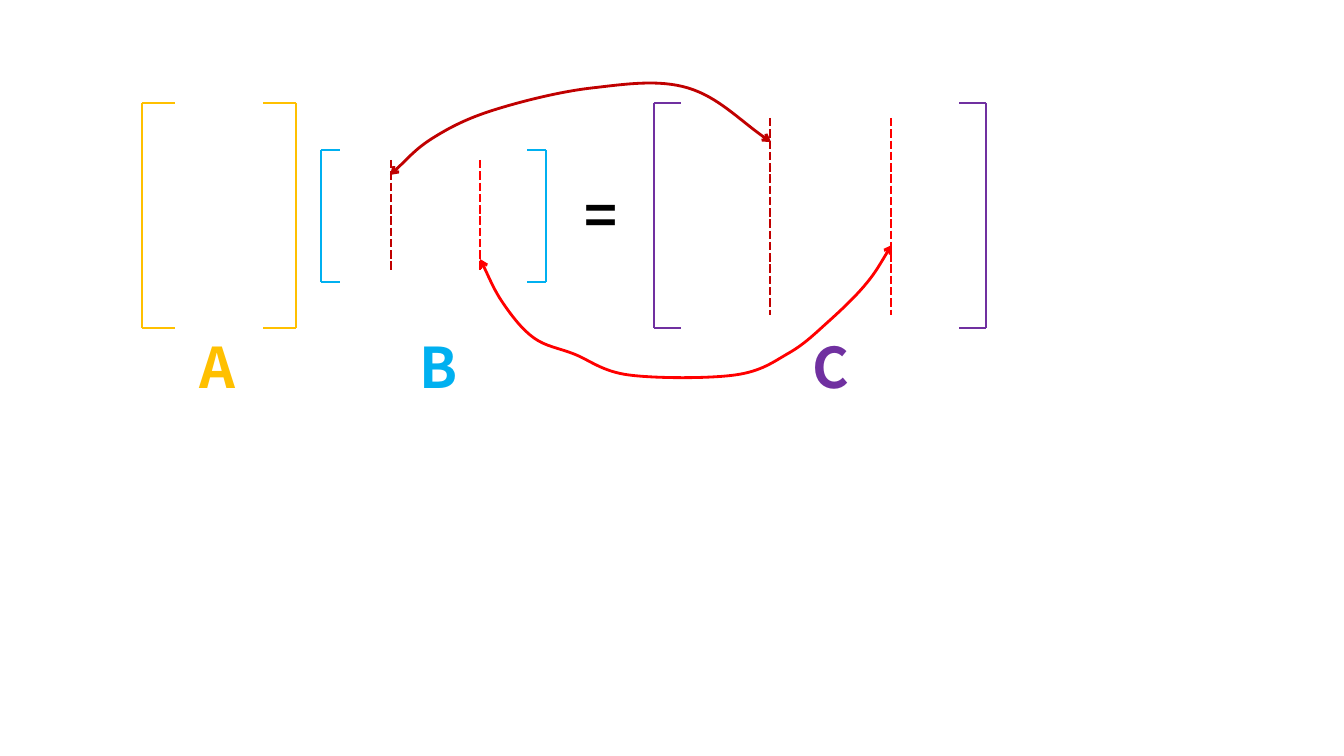
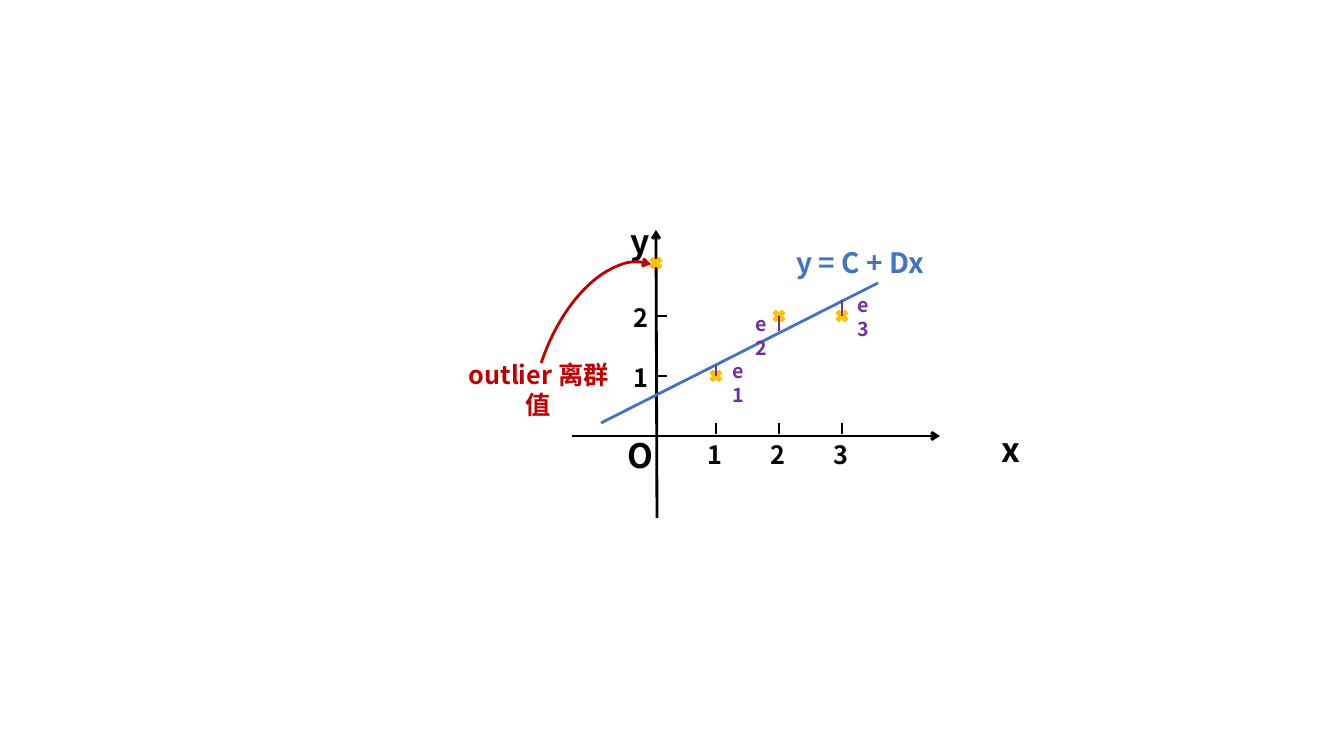
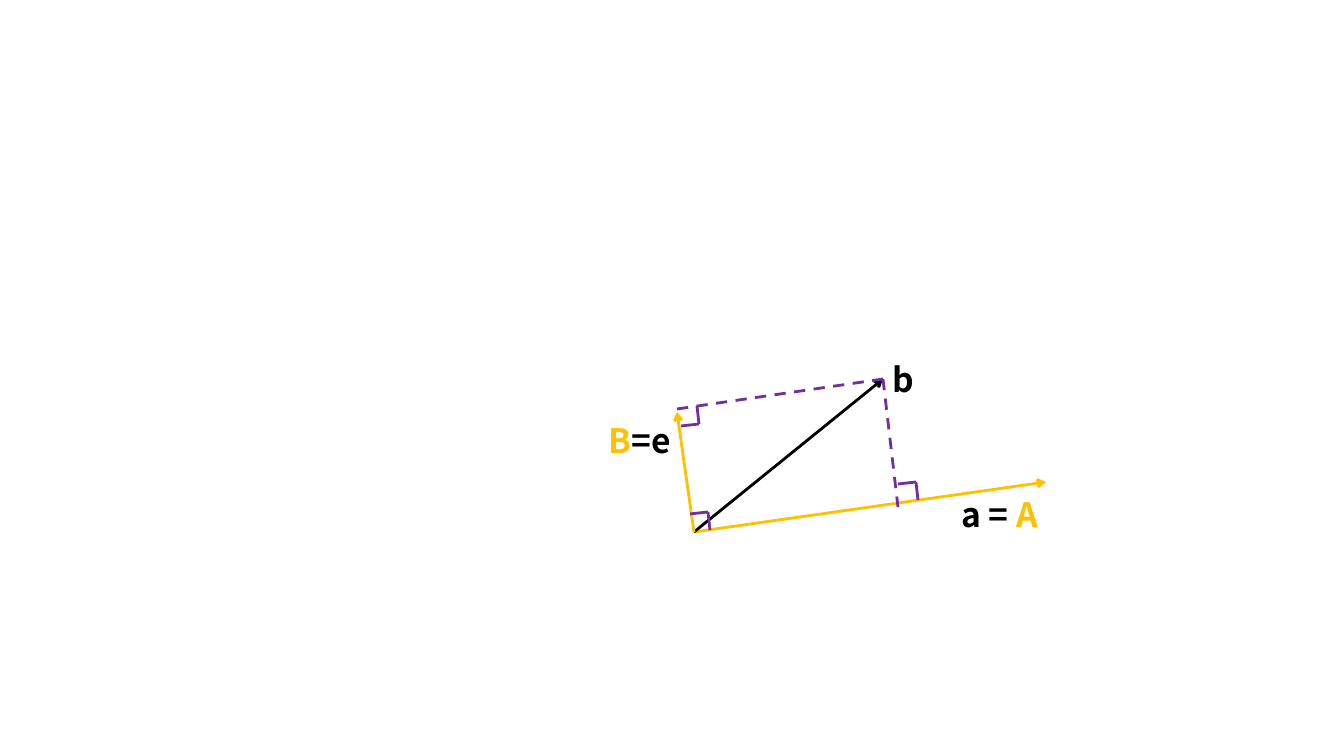
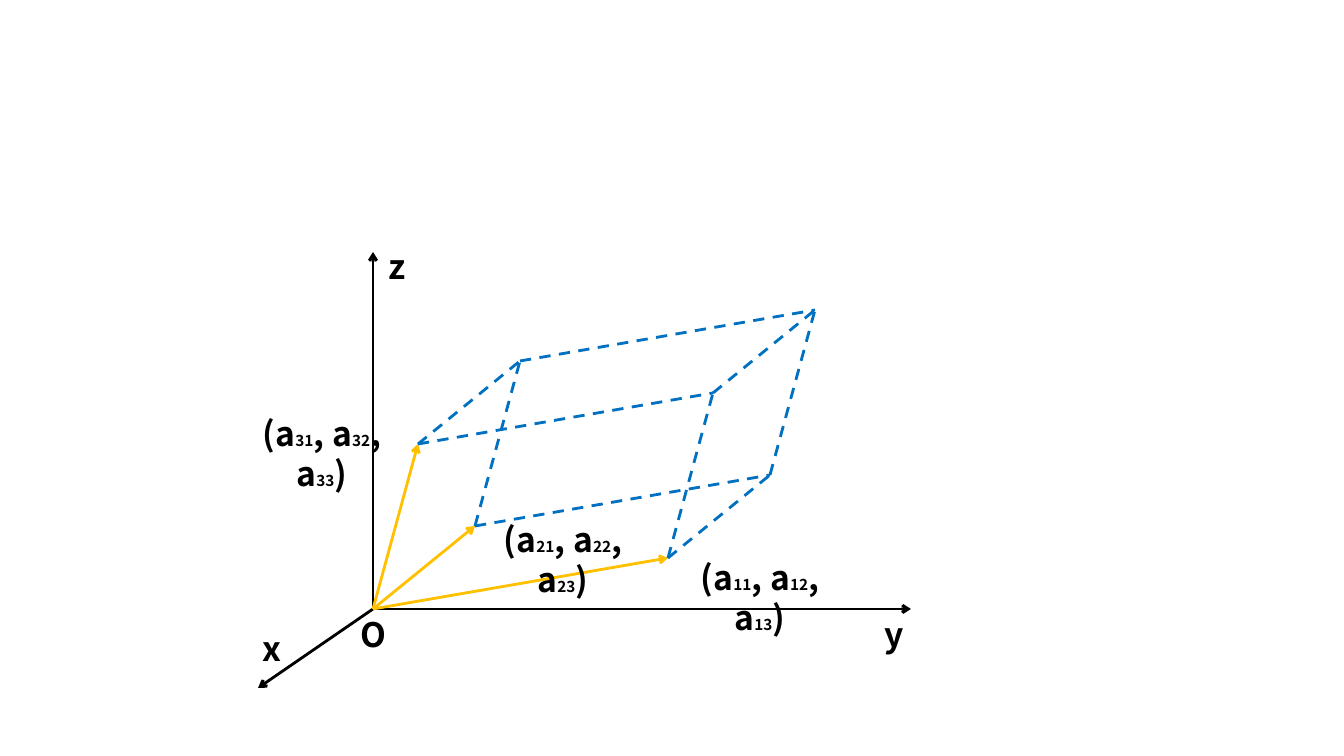
from itertools import combinations, permutations
from lxml.etree import SubElement
from pptx import Presentation
from pptx.dml.color import RGBColor
from pptx.enum.dml import MSO_LINE
from pptx.enum.shapes import MSO_CONNECTOR, MSO_SHAPE
from pptx.enum.text import MSO_AUTO_SIZE, PP_ALIGN
from pptx.oxml.ns import qn
from pptx.util import Emu, Pt

SCALE = 914400 / 100.8
FONT = "Noto Sans CJK SC"
BLACK, GOLD, PURPLE = "000000", "FFC000", "7030A0"
SKY, BLUE, AZURE = "00B0F0", "4472C4", "0070C0"
RED, DARK = "FF0000", "C00000"
DASH, DOT = MSO_LINE.DASH, MSO_LINE.ROUND_DOT
DOT = MSO_LINE.SQUARE_DOT
STRAIGHT = MSO_CONNECTOR.STRAIGHT
ARC, CROSS = MSO_SHAPE.ARC, MSO_SHAPE.MATH_MULTIPLY
CENTER, GROW = PP_ALIGN.CENTER, MSO_AUTO_SIZE.SHAPE_TO_FIT_TEXT


def px(*vals):
    """Turn pixels into EMU."""
    return [Emu(round(val * SCALE)) for val in vals]


def tint(color, code):
    """Set a colour from its hex string."""
    color.rgb = RGBColor.from_string(code)


def stroke(shape, code, dash=None, ends=(), width=2):
    """Style a line and add its arrowheads."""
    tint(shape.line.color, code)
    shape.line.width = Pt(width)
    if dash:
        shape.line.dash_style = dash
    edge = shape.element.spPr.find(qn("a:ln"))
    for end in ends:
        SubElement(edge, qn(f"a:{end}End"), type="arrow")


def line(slide, start, stop, code, dash=None, ends=()):
    """Draw a straight line between two points."""
    link = slide.shapes.add_connector(STRAIGHT, *px(*start, *stop))
    stroke(link, code, dash, ends)
    SubElement(link.element.spPr, qn("a:effectLst"))


def arrow(slide, start, stop, code):
    """Draw a line with an arrowhead at its stop."""
    line(slide, start, stop, code, ends=["tail"])


def note(slide, box, parts, size=24, code=BLACK):
    """Place centred bold text; parts are strings or (text, size, colour)."""
    frame = slide.shapes.add_textbox(*px(*box)).text_frame
    frame.word_wrap = True
    frame.auto_size = GROW
    para = frame.paragraphs[0]
    para.alignment = CENTER
    for part in [parts] if isinstance(parts, str) else parts:
        text, high, hue = (part, size, code) if isinstance(part, str) else part
        run = para.add_run()
        run.text = text
        run.font.name, run.font.size, run.font.bold = FONT, Pt(high), True
        tint(run.font.color, hue)
        SubElement(run.font._element, qn("a:ea"), typeface=FONT)


def curve(slide, nodes, code):
    """Draw a smooth double arrow through the nodes."""
    spots = [px(*node) for node in nodes]
    pen = slide.shapes.build_freeform(*spots[0])
    pen.add_line_segments(spots[1:], close=False)
    shape = pen.convert_to_shape()
    shape.shadow.inherit = False
    shape.fill.background()
    stroke(shape, code, ends=["head", "tail"])
    way = next(shape.element.iter(qn("a:path")))
    pts = [(int(p.get("x")), int(p.get("y"))) for p in way.iter(qn("a:pt"))]
    for old in list(way)[1:]:
        way.remove(old)
    first, last = [tuple(2 * m - n for m, n in zip(a, b))
                   for a, b in (pts[:2], pts[:-3:-1])]
    pts = [first, *pts, last]
    for a, b, c, d in zip(pts, pts[1:], pts[2:], pts[3:]):
        bend = SubElement(way, qn("a:cubicBezTo"))
        lead = [m + (n - k) / 6 for k, m, n in zip(a, b, c)]
        trail = [m - (n - k) / 6 for k, m, n in zip(b, c, d)]
        for x, y in (lead, trail, c):
            SubElement(bend, qn("a:pt"), x=str(round(x)), y=str(round(y)))


def matrix(slide, box, lip, code, name, spot):
    """Draw a pair of square brackets and the matrix name."""
    x, y, w, h = box
    for side, tip in ((x, x + lip), (x + w, x + w - lip)):
        line(slide, (side, y), (side, y + h), code)
        for level in (y, y + h):
            line(slide, (side, level), (tip, level), code)
    note(slide, (x + spot, 328, 58, 78), name, 40, code)


def columns(slide, box):
    """Draw the dark and red dotted columns at the sides of a box."""
    x, y, w, h = box
    for side, code in ((x, DARK), (x + w, RED)):
        line(slide, (side, y), (side, y + h), code, DOT)


def product(slide, box):
    """Show A times B equals C, with linked columns."""
    x, y, w, h = box
    matrix(slide, (x, y, 154, h), 33, GOLD, "A", 46)
    matrix(slide, (x + 179, y + 47, 225, 132), 19, SKY, "B", 89)
    matrix(slide, (x + w - 332, y, 332, h), 27, PURPLE, "C", 148)
    note(slide, (x + 429, y + 73, 60, 78), "=", 40)
    columns(slide, (x + 249, y + 57, 89, 112))
    columns(slide, (x + 628, y + 15, 121, 197))
    upper = [(248, 72), (291, 35), (352, 7), (450, -15), (546, -15), (629, 39)]
    lower = [(338, 156), (361, 200), (392, 235), (432, 251), (487, 272),
             (593, 272), (647, 250), (686, 219), (724, 181), (750, 142)]
    for nodes, code in ((upper, DARK), (lower, RED)):
        curve(slide, [(x + a, y + b) for a, b in nodes], code)


def mark(slide, x, y):
    """Draw a gold cross centred on a point."""
    cross = slide.shapes.add_shape(CROSS, *px(x - 8.5, y - 8, 17, 16))
    cross.shadow.inherit = False
    cross.fill.solid()
    tint(cross.fill.fore_color, GOLD)
    stroke(cross, GOLD, width=1)


def plot(slide, box):
    """Draw the fitted line with its points, errors and outlier."""
    x, y, w, h = box
    left, base = x + 84, y + 206
    arrow(slide, (x, base), (x + w, base), BLACK)
    arrow(slide, (left + 1, y + h), (left, y), BLACK)
    for name, a, b, wide in (("x", 336, -12, 37), ("y", -35, -220, 37),
                             ("O", -39, -6, 46)):
        note(slide, (left + a, base + b, wide, 50), name)
    for step in (1, 2, 3):
        at = left + 63 * step - 3
        line(slide, (at, base - 13), (at, base), BLACK, DASH)
        note(slide, (at - 18, base - 2, 34, 40), str(step), 18)
    for step in (1, 2):
        at = base - 60 * step
        line(slide, (left, at), (left + 19, at), BLACK, DASH)
        note(slide, (left - 32, at - 19, 34, 40), str(step), 18)
    line(slide, (x + 29, base - 13), (x + 306, y + 53), BLUE)
    note(slide, (x + 210, y + 11, 157, 44), "y = C + Dx", 20, BLUE)
    mark(slide, left, y + 33)
    note(slide, (x - 123, y + 124, 179, 40), "outlier 离群值", 18, DARK)
    arc = slide.shapes.add_shape(ARC, *px(x - 90, y + 83, 257, 146))
    arc.rotation = 288.4
    arc.shadow.inherit = False
    arc.fill.background()
    stroke(arc, DARK, ends=["tail"])
    errors = ((1, 1, -11, 1, -22), (2, 2, 15, -39, -9), (3, 2, -16, 0, -28))
    for step, level, gap, a, b in errors:
        at, high = left + 63 * step - 3, base - 60 * level
        mark(slide, at, high)
        line(slide, (at, high), (at, high + gap), PURPLE)
        note(slide, (at + a, high + b, 42, 34), f"e{step}", 14, PURPLE)


def corner(slide, x, y, u, v):
    """Draw a right angle whose second leg is the first one turned."""
    mid = x + u, y + v
    line(slide, (x, y), mid, PURPLE)
    line(slide, mid, (mid[0] - v, mid[1] + u), PURPLE)


def shadow(slide, box):
    """Draw vector b and its projections on two axes."""
    x, y, w, h = box
    root, peak = (x + 17, y + h), (x + 206, y)
    arrow(slide, root, (x + w, y + 103), GOLD)
    arrow(slide, root, peak, BLACK)
    arrow(slide, root, (x, y + 33), GOLD)
    line(slide, peak, (x + 221, y + 128), PURPLE, DASH)
    line(slide, (x, y + 30), peak, PURPLE, DASH)
    corner(slide, x + 20, y + 27, 2, 18)
    corner(slide, x + 221, y + 105, 18, -2)
    corner(slide, x + 13, y + 135, 18, -2)
    note(slide, (x + 271, y + 110, 103, 50), ["a = ", ("A", 24, GOLD)])
    note(slide, (x + 206, y - 25, 41, 50), "b")
    note(slide, (x - 79, y + 36, 83, 50), [("B", 24, GOLD), "=e"])


def add(*spots):
    """Add points coordinate by coordinate."""
    return tuple(map(sum, zip(*spots)))


def solid(slide, box):
    """Draw the solid that three vectors span, with its axes."""
    x, y, w, h = box
    root = x + 115, y + 357
    for tip in ((x + w, root[1]), (root[0], y), (x, y + h)):
        arrow(slide, root, tip, BLACK)
    for name, a, b, wide in (("x", -5, 371, 37), ("O", 92, 357, 46),
                             ("z", 121, -11, 36), ("y", 617, 357, 37)):
        note(slide, (x + a, y + b, wide, 50), name)
    sides = (295, -51), (102, -83), (45, -165)
    for side in sides:
        arrow(slide, root, add(root, side), GOLD)
    for one, two in permutations(sides, 2):
        line(slide, add(root, one), add(root, one, two), AZURE, DASH)
    for pair in combinations(sides, 2):
        line(slide, add(root, *pair), add(root, *sides), AZURE, DASH)
    shifts = (1, -6), (-3, -12), (-187, -36)
    for row, (side, shift) in enumerate(zip(sides, shifts), 1):
        parts = []
        for col, lead in enumerate(("(a", ", a", ", a"), 1):
            parts += [lead, (f"{row}{col}", 11, BLACK)]
        note(slide, (*add(root, side, shift), 182, 50), [*parts, ")"])


def main():
    """Build and save the slides."""
    deck = Presentation()
    deck.slide_width, deck.slide_height = px(1344, 756)
    for draw, box in ((product, (142, 103, 844, 225)),
                      (plot, (572, 230, 368, 288)),
                      (shadow, (677, 379, 369, 153)),
                      (solid, (258, 252, 653, 436))):
        draw(deck.slides.add_slide(deck.slide_layouts[6]), box)
    deck.save("out.pptx")


main()
